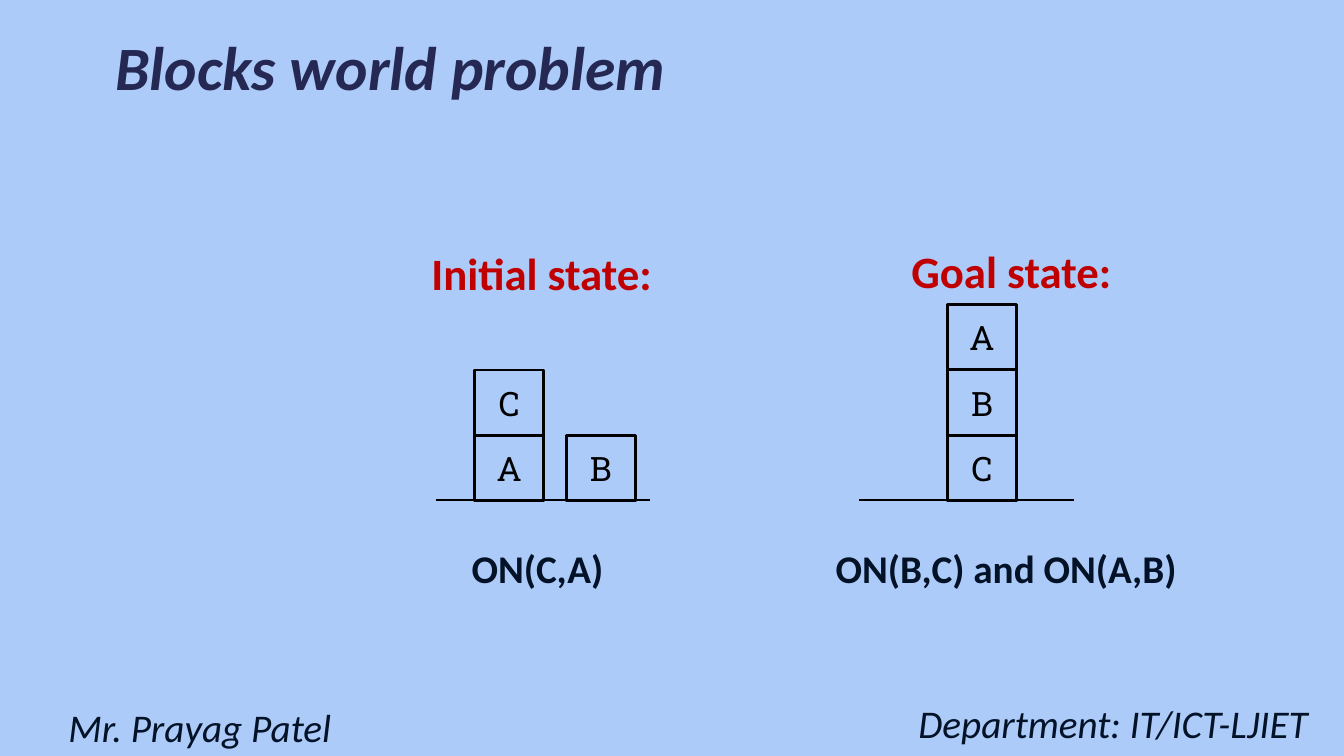
from lxml import etree
from pptx import Presentation
from pptx.dml.color import RGBColor
from pptx.enum.shapes import MSO_CONNECTOR, MSO_SHAPE
from pptx.enum.text import MSO_ANCHOR as ANCHOR, MSO_AUTO_SIZE as AUTO_SIZE, PP_ALIGN as ALIGN
from pptx.oxml.ns import qn
from pptx.util import Inches, Pt

BLACK, NAVY, RED, INDIGO, SKY = "000000", "031227", "C00000", "242852", "ACCBF9"
BLOCK_WIDTH, BLOCK_HEIGHT = 0.68, 0.65
GROUND = 4.97
TABLE_LENGTH = 2.13


def color(value):
    return RGBColor.from_string(value)


def place(shape, left, top, width, height):
    shape.left, shape.top = Inches(left), Inches(top)
    shape.width, shape.height = Inches(width), Inches(height)


def style(para, size, value, name="Calibri", bold=False, italic=False):
    font = para.font
    font.name, font.size = name, Pt(size)
    font.bold, font.italic = bold, italic
    font.color.rgb = color(value)


def add_title(slide, text):
    title = slide.shapes.title
    place(title, 0.58, 0.2, 6.59, 0.9)
    frame = title.text_frame
    frame.text = text
    frame.auto_size = AUTO_SIZE.NONE
    frame.vertical_anchor = ANCHOR.MIDDLE
    para = frame.paragraphs[0]
    para.alignment = ALIGN.CENTER
    style(para, 44, INDIGO, bold=True, italic=True)


def add_text(slide, text, area, size, value, bold=False, italic=False):
    box = slide.shapes.add_textbox(*[Inches(length) for length in area])
    frame = box.text_frame
    frame.word_wrap = True
    frame.text = text
    para = frame.paragraphs[0]
    style(para, size, value, bold=bold, italic=italic)
    return para


def add_footer(slide, text, area, alignment):
    para = add_text(slide, text, area, 28, NAVY, italic=True)
    para.alignment = alignment
    para.line_spacing = 1.14


def add_conditions(slide, initial, goal):
    para = add_text(slide, f"{initial}\t{goal}", (4.58, 5.35, 8.31, 0.57), 28, NAVY, bold=True)
    tabs = etree.Element(qn("a:tabLst"))
    etree.SubElement(tabs, qn("a:tab"), pos=str(Inches(3.61)), algn="l")
    para._p.get_or_add_pPr().insert(0, tabs)


def add_block(slide, letter, left, top):
    block = slide.shapes.add_shape(
        MSO_SHAPE.RECTANGLE, Inches(left), Inches(top), Inches(BLOCK_WIDTH), Inches(BLOCK_HEIGHT))
    block.shadow.inherit = False
    block.fill.background()
    block.line.color.rgb = color(BLACK)
    block.line.width = Pt(2)
    frame = block.text_frame
    frame.margin_left = frame.margin_right = frame.margin_top = frame.margin_bottom = 0
    frame.vertical_anchor = ANCHOR.MIDDLE
    frame.text = letter
    para = frame.paragraphs[0]
    para.alignment = ALIGN.CENTER
    style(para, 24, BLACK, name="Roboto Slab")


def add_stack(slide, letters, left):
    for level, letter in enumerate(letters, start=1):
        add_block(slide, letter, left, GROUND - level * BLOCK_HEIGHT)


def add_table_line(slide, left):
    line = slide.shapes.add_connector(
        MSO_CONNECTOR.STRAIGHT, Inches(left), Inches(GROUND - 0.01),
        Inches(left + TABLE_LENGTH), Inches(GROUND - 0.01))
    line.line.color.rgb = color(BLACK)
    line.line.width = Pt(1.5)
    etree.SubElement(line._element.spPr, qn("a:effectLst"))


def main():
    deck = Presentation()
    deck.slide_width, deck.slide_height = Inches(13.33), Inches(7.5)
    slide = deck.slides.add_slide(deck.slide_layouts[5])
    slide.background.fill.solid()
    slide.background.fill.fore_color.rgb = color(SKY)

    add_title(slide, "Blocks world problem")
    add_text(slide, "Initial state:", (4.18, 2.39, 2.61, 0.64), 32, RED, bold=True)
    add_text(slide, "Goal state:", (8.94, 2.37, 2.61, 0.64), 32, RED, bold=True)
    for letters, left in (("AC", 4.71), ("B", 5.62), ("CBA", 9.4)):
        add_stack(slide, letters, left)
    for left in (4.32, 8.52):
        add_table_line(slide, left)
    add_conditions(slide, "ON(C,A)", "ON(B,C) and ON(A,B)")
    add_footer(slide, "Mr. Prayag Patel", (0.58, 6.86, 7.4, 0.63), ALIGN.LEFT)
    add_footer(slide, "Department: IT/ICT-LJIET", (8.08, 6.82, 4.99, 0.63), ALIGN.RIGHT)
    deck.save("out.pptx")


if __name__ == "__main__":
    main()
